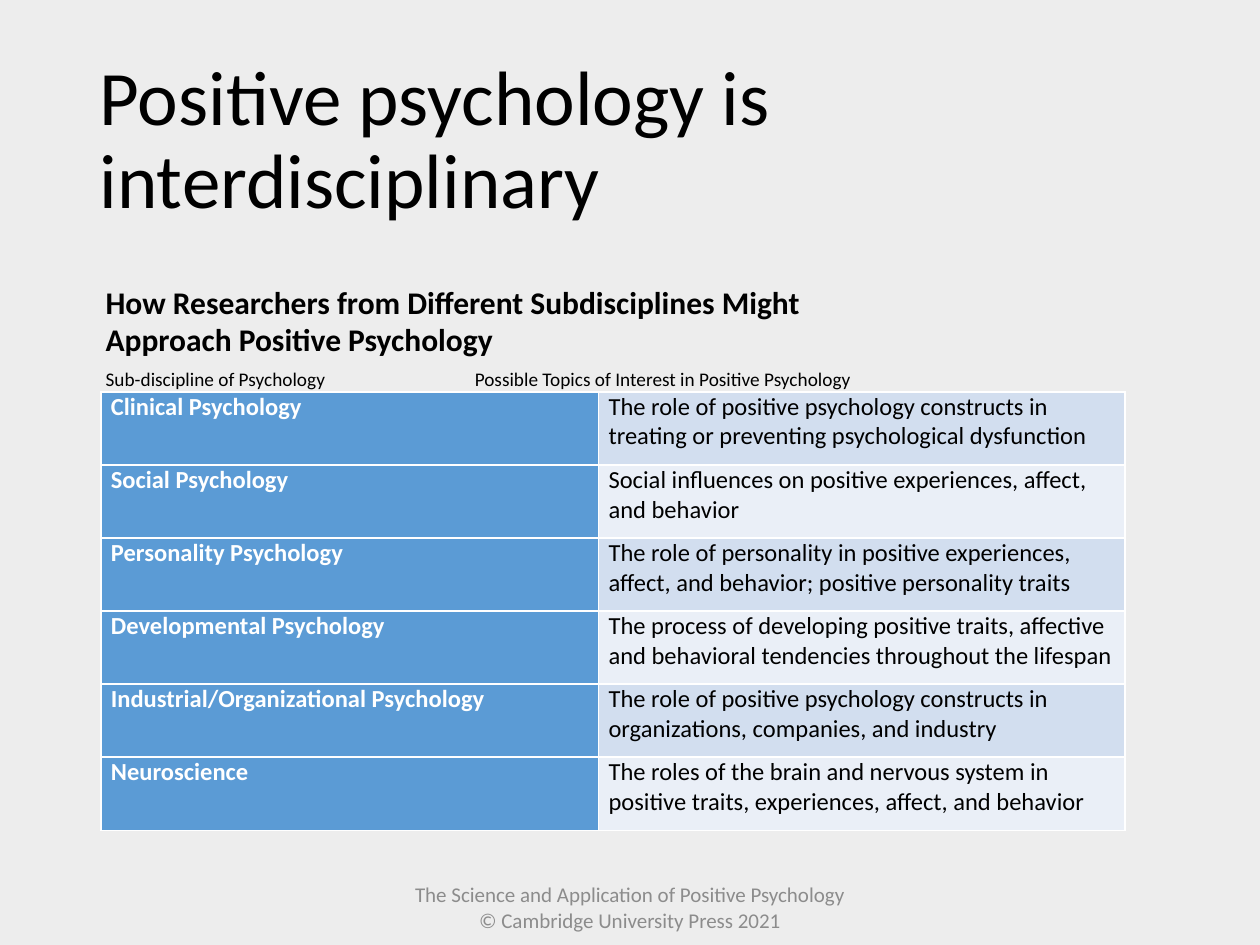
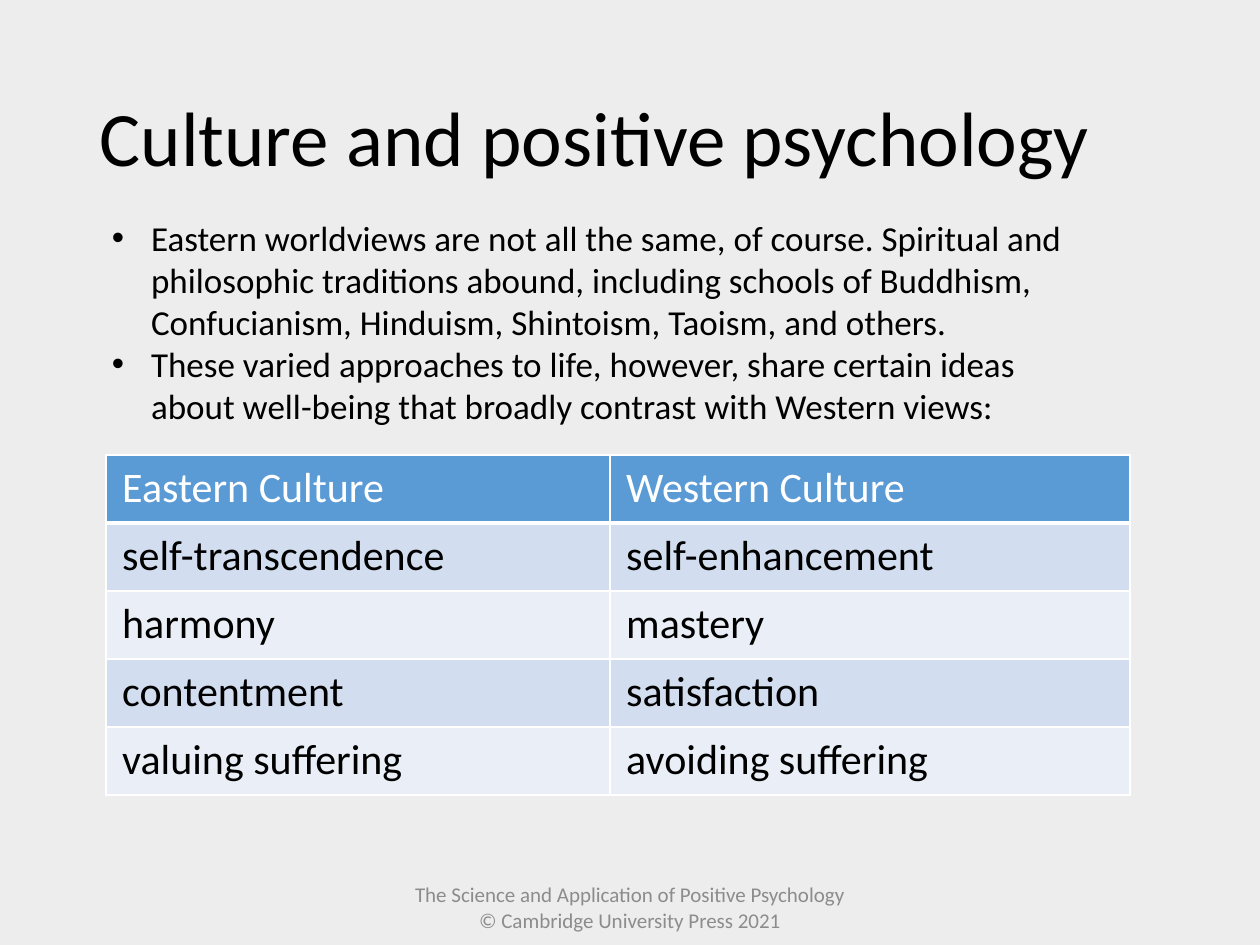
import pptx
import pptx.dml.color
import pptx.enum.text
import pptx.oxml
import pptx.oxml.ns
import pptx.util

CELL = pptx.util.Inches(0.1)  # the slide is a grid of 100 columns by 75 rows
COLUMNS, ROWS = 100, 75
FONT = "Calibri"
BACKGROUND, BLACK, WHITE, GREY = "EDEDED", "000000", "FFFFFF", "8C8C8C"
BLUE, BANDS = "5B9BD5", ("D2DEEF", "EAEFF7")
FOOTER = "The Science and Application of Positive Psychology\v© Cambridge University Press 2021"
MIDDLE = pptx.enum.text.MSO_ANCHOR.MIDDLE
LEFT, CENTER = pptx.enum.text.PP_ALIGN.LEFT, pptx.enum.text.PP_ALIGN.CENTER

SUBDISCIPLINES = [
    ("Clinical Psychology",
     "The role of positive psychology constructs in treating or preventing psychological dysfunction"),
    ("Social Psychology",
     "Social influences on positive experiences, affect, and behavior"),
    ("Personality Psychology",
     "The role of personality in positive experiences, affect, and behavior; positive personality traits"),
    ("Developmental Psychology",
     "The process of developing positive traits, affective and behavioral tendencies throughout the lifespan"),
    ("Industrial/Organizational Psychology",
     "The role of positive psychology constructs in organizations, companies, and industry"),
    ("Neuroscience",
     "The roles of the brain and nervous system in positive traits, experiences, affect, and behavior"),
]
CULTURES = [
    ("Eastern Culture", "Western Culture"),
    ("self-transcendence", "self-enhancement"),
    ("harmony", "mastery"),
    ("contentment", "satisfaction"),
    ("valuing suffering", "avoiding suffering"),
]
WORLDVIEWS = [
    "Eastern worldviews are not all the same, of course. Spiritual and philosophic traditions abound, "
    "including schools of Buddhism, Confucianism, Hinduism, Shintoism, Taoism, and others.",
    "These varied approaches to life, however, share certain ideas about well-being that broadly "
    "contrast with Western views:",
]


def grid(*counts):
    """Turn counts of grid cells into lengths."""
    return [round(count * CELL) for count in counts]


def color(hex_text):
    return pptx.dml.color.RGBColor.from_string(hex_text)


def style(para, size, hex_text, bold=False, align=LEFT):
    para.alignment = align
    para.font.name = FONT
    para.font.size = pptx.util.Pt(size)
    para.font.color.rgb = color(hex_text)
    para.font.bold = bold


def add_element(parent, name, attributes="", children=""):
    """Append one element of the drawing namespace."""
    namespace = pptx.oxml.ns.nsdecls("a")
    parent.append(pptx.oxml.parse_xml(
        f"<a:{name} {namespace} {attributes}>{children}</a:{name}>"))


def add_text(page, place, lines, anchor=pptx.enum.text.MSO_ANCHOR.TOP):
    """Add a wrapping text box and return its paragraphs."""
    frame = page.shapes.add_textbox(*grid(*place)).text_frame
    frame.word_wrap = True
    frame.vertical_anchor = anchor
    frame.text = "\n".join(lines)
    return frame.paragraphs


def add_page(deck, title):
    page = deck.slides.add_slide(deck.slide_layouts[5])
    box = page.shapes.title
    box.left, box.top, box.width, box.height = grid(6.9, 4, 86.2, 14.5)
    box.text_frame.text = title
    box.text_frame.auto_size = pptx.enum.text.MSO_AUTO_SIZE.NONE
    box.text_frame.vertical_anchor = MIDDLE
    para = box.text_frame.paragraphs[0]
    para.line_spacing = 0.9
    style(para, 44, BLACK)
    footer = add_text(page, (21.9, 69.5, 56.2, 5), [FOOTER], MIDDLE)
    style(footer[0], 12, GREY, align=CENTER)
    return page


def add_bullets(page, place, lines, size):
    for para in add_text(page, place, lines):
        properties = para._p.get_or_add_pPr()
        indent = grid(3.1)[0]
        properties.set("marL", str(indent))
        properties.set("indent", str(-indent))
        add_element(properties, "buFont", 'typeface="Arial"')
        add_element(properties, "buChar", 'char="•"')
        style(para, size, BLACK)


def add_caption(page, place, heading, labels, label_stop):
    """Add a bold heading above a line of column labels parted by a tab."""
    *heading_paras, label_para = add_text(page, place, heading + ["\t".join(labels)], MIDDLE)
    for para in heading_paras:
        style(para, 18, BLACK, bold=True)
    add_element(label_para._p.get_or_add_pPr(), "tabLst",
                children=f'<a:tab pos="{grid(label_stop)[0]}" algn="l"/>')
    label_para.space_before = pptx.util.Pt(5)
    style(label_para, 11, BLACK)


def format_cell(cell, text, size, insets, fill, text_color, bold, edges):
    """Edges are the widths of the left, right, top and bottom borders in points."""
    cell.text = text
    cell.margin_left = cell.margin_right = grid(insets[0])[0]
    cell.margin_top = cell.margin_bottom = grid(insets[1])[0]
    style(cell.text_frame.paragraphs[0], size, text_color, bold)
    for side, width in zip("LRTB", edges):
        add_element(cell._tc.get_or_add_tcPr(), f"ln{side}", f'w="{int(pptx.util.Pt(width))}"',
                    f'<a:solidFill><a:srgbClr val="{WHITE}"/></a:solidFill>')
    cell.fill.solid()
    cell.fill.fore_color.rgb = color(fill)


def add_grid_table(page, corner, widths, row_height, rows, size, insets,
                   header_row=False, header_column=False):
    table = page.shapes.add_table(
        len(rows), len(widths), *grid(*corner, sum(widths), row_height * len(rows))).table
    table.first_row = table.horz_banding = False
    for column, width in zip(table.columns, grid(*widths)):
        column.width = width
    for r, texts in enumerate(rows):
        table.rows[r].height = grid(row_height)[0]
        edges = (1, 1, 3 if header_row and r == 1 else 1, 3 if header_row and r == 0 else 1)
        for c, text in enumerate(texts):
            is_header = (header_row and r == 0) or (header_column and c == 0)
            fill = BLUE if is_header else BANDS[(r - header_row) % 2]
            format_cell(table.cell(r, c), text, size, insets, fill,
                        WHITE if is_header else BLACK, header_column and c == 0, edges)


def main():
    deck = pptx.Presentation()
    deck.slide_width, deck.slide_height = grid(COLUMNS, ROWS)
    background = deck.slide_master.background.fill
    background.solid()
    background.fore_color.rgb = color(BACKGROUND)

    page = add_page(deck, "Positive psychology is interdisciplinary")
    add_grid_table(page, (8, 31.1), (39.5, 41.8), 5.8, SUBDISCIPLINES, 14, (0.8, 0),
                   header_column=True)
    add_caption(page, (7.4, 21.9, 72, 9.6),
                ["How Researchers from Different Subdisciplines Might", "Approach Positive Psychology"],
                ["Sub-discipline of Psychology", "Possible Topics of Interest in Positive Psychology"],
                label_stop=29.3)

    page = add_page(deck, "Culture and positive psychology")
    add_grid_table(page, (8.4, 36.1), (40, 41.3), 5.4, CULTURES, 24, (1.3, 0.65),
                   header_row=True)
    add_bullets(page, (7.9, 16.7, 77.5, 20.9), WORLDVIEWS, 20)

    deck.save("out.pptx")


if __name__ == "__main__":
    main()
